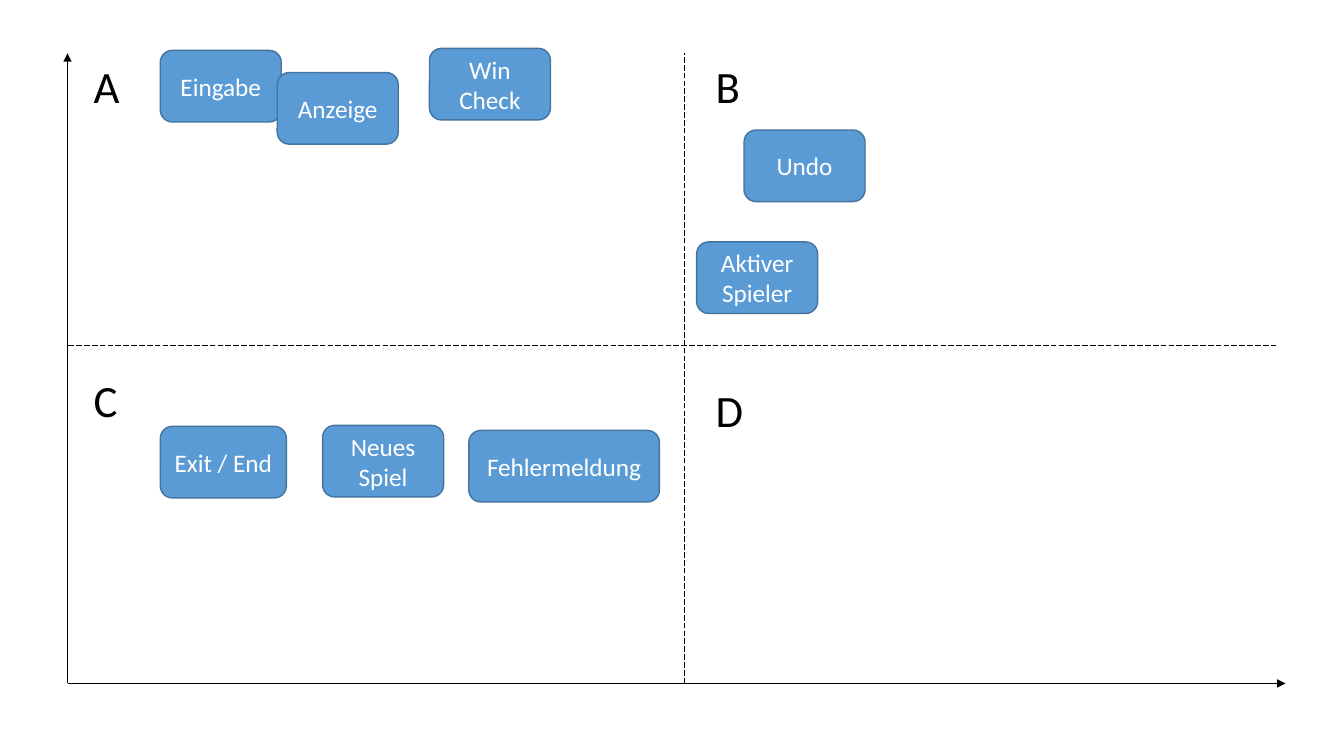
from lxml import etree
from pptx import Presentation
from pptx import util as u
from pptx.dml.color import RGBColor
from pptx.enum import dml, shapes, text
from pptx.oxml import ns

BLACK = RGBColor(0x00, 0x00, 0x00)
WHITE = RGBColor(0xFF, 0xFF, 0xFF)
BLUE = RGBColor(0x5B, 0x9B, 0xD5)
DARK_BLUE = RGBColor(0x43, 0x73, 0x9E)


class Matrix:
    font = "Calibri"
    letter_size = u.Pt(32)
    card_size = u.Pt(18)
    card_height = 0.71

    def __init__(self, page):
        self.page = page

    def label(self, box, words, size, color):
        box.text_frame.text = words
        paragraph = box.text_frame.paragraphs[0]
        for span in paragraph.runs:
            span.font.name = self.font
            span.font.size = size
            span.font.color.rgb = color
        return paragraph

    def line(self, start, end):
        points = [u.Inches(value) for value in (*start, *end)]
        connector = self.page.shapes.add_connector(shapes.MSO_CONNECTOR.STRAIGHT, *points)
        connector.line.color.rgb = BLACK
        connector.line.width = u.Pt(0.5)
        etree.SubElement(connector._element.spPr, ns.qn("a:effectLst"))
        return connector

    def axis(self, start, end):
        outline = self.line(start, end).get_or_add_ln()
        etree.SubElement(outline, ns.qn("a:tailEnd"), type="triangle")

    def divider(self, start, end):
        self.line(start, end).line.dash_style = dml.MSO_LINE.LONG_DASH

    def letter(self, words, left, top):
        box = self.page.shapes.add_textbox(
            u.Inches(left), u.Inches(top), u.Inches(0.65), u.Inches(0.64))
        box.text_frame.word_wrap = True
        self.label(box, words, self.letter_size, BLACK)
        box.text_frame.auto_size = text.MSO_AUTO_SIZE.SHAPE_TO_FIT_TEXT

    def card(self, words, left, top, width=1.2):
        box = self.page.shapes.add_shape(
            shapes.MSO_SHAPE.ROUNDED_RECTANGLE, u.Inches(left), u.Inches(top),
            u.Inches(width), u.Inches(self.card_height))
        box.shadow.inherit = False
        box.fill.solid()
        box.fill.fore_color.rgb = BLUE
        box.line.color.rgb = DARK_BLUE
        box.line.width = u.Pt(1)
        box.text_frame.word_wrap = True
        box.text_frame.vertical_anchor = text.MSO_ANCHOR.MIDDLE
        paragraph = self.label(box, words, self.card_size, WHITE)
        paragraph.alignment = text.PP_ALIGN.CENTER


deck = Presentation()
deck.slide_width = u.Inches(13.33)
deck.slide_height = u.Inches(7.5)
matrix = Matrix(deck.slides.add_slide(deck.slide_layouts[6]))

left, top, bottom = 0.67, 0.53, 6.78
middle_x, middle_y = 6.79, 3.43
matrix.axis((left, bottom), (left, top))
matrix.axis((left, bottom), (12.75, bottom))
matrix.divider((middle_x, bottom), (middle_x, top))
matrix.divider((12.66, middle_y), (left, middle_y))

for quadrant in (("A", 0.83, top), ("B", 7, top), ("C", 0.83, 3.65), ("D", 7, 3.75)):
    matrix.letter(*quadrant)

features = [
    ("Undo", 7.38, 1.29),
    ("Neues Spiel", 3.2, 4.22),
    ("Aktiver Spieler", 6.91, 2.4),
    ("Win Check", 4.26, 0.48),
    ("Fehlermeldung", 4.65, 4.27, 1.89),
    ("Exit / End", 1.59, 4.23, 1.25),
    ("Eingabe", 1.59, 0.5),
    ("Anzeige", 2.75, 0.72),
]
for feature in features:
    matrix.card(*feature)

deck.save("out.pptx")
